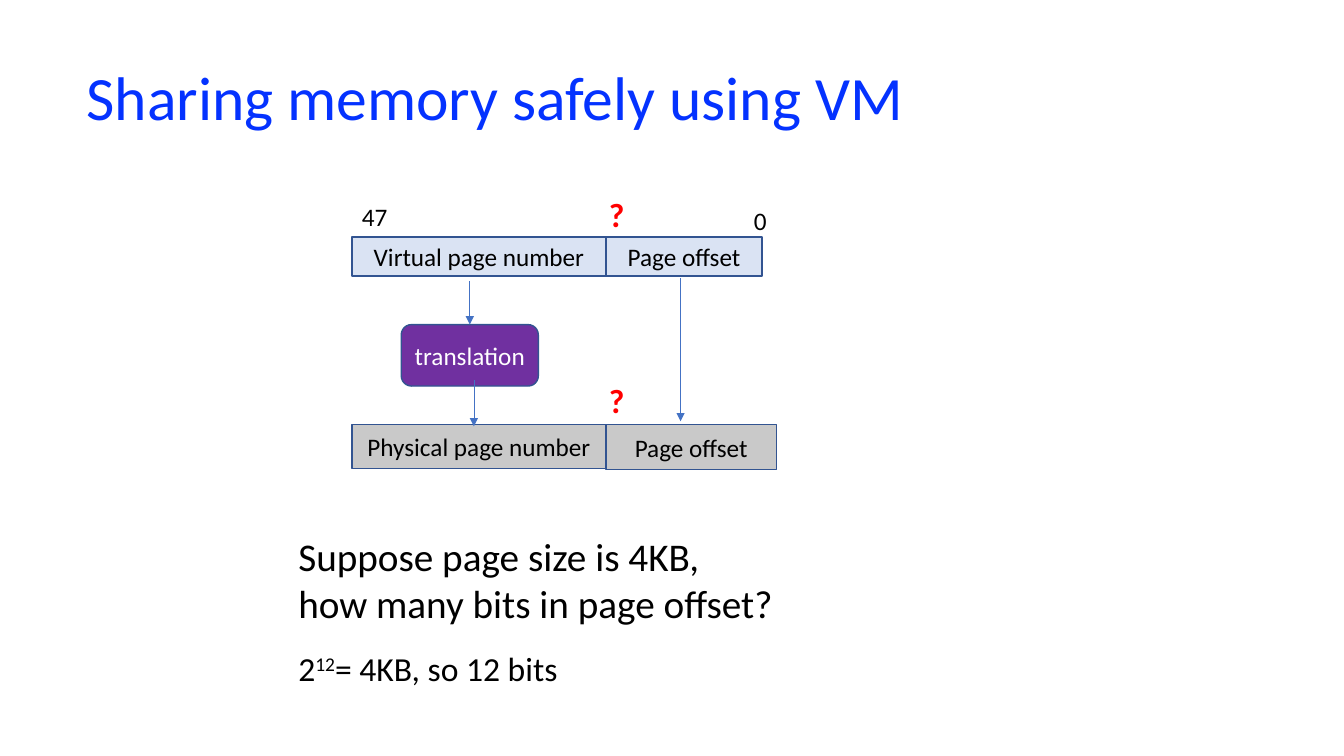
from lxml import etree
from pptx import Presentation
from pptx.dml.color import RGBColor
from pptx.enum.shapes import MSO_CONNECTOR, MSO_SHAPE
from pptx.enum.text import MSO_ANCHOR, PP_ALIGN
from pptx.oxml.ns import qn
from pptx.util import Inches, Pt

RECT, ROUNDED = MSO_SHAPE.RECTANGLE, MSO_SHAPE.ROUNDED_RECTANGLE
STRAIGHT = MSO_CONNECTOR.STRAIGHT
MIDDLE, TOP = MSO_ANCHOR.MIDDLE, MSO_ANCHOR.TOP
CENTER = PP_ALIGN.CENTER

FONT = "Calibri"
COLORS = {"title": "0432FF", "text": "000000", "white": "FFFFFF", "mark": "FF0000",
          "virtual": "DAE3F3", "physical": "C9C9C9", "translation": "7030A0",
          "border": "325491", "arrow": "4472C4"}

# Diagram grid: left edge, page-number/offset split, and the two address rows
LEFT, SPLIT = 3.49, 6.01
VIRTUAL_Y, PHYSICAL_Y = 2.35, 4.21
NUMBER_W = SPLIT - LEFT
TEXT_X = 2.86

# Content: name, text, shape, (left, top, width, height), fill, text colour
BOXES = [
    ("virtual number", "Virtual page number", RECT, (LEFT, VIRTUAL_Y, NUMBER_W, 0.39), "virtual", "text"),
    ("virtual offset", "Page offset", RECT, (SPLIT, VIRTUAL_Y, 1.55, 0.39), "virtual", "text"),
    ("physical number", "Physical page number", RECT, (LEFT, PHYSICAL_Y, NUMBER_W, 0.44), "physical", "text"),
    ("physical offset", "Page offset", RECT, (SPLIT, PHYSICAL_Y, 1.69, 0.45), "physical", "text"),
    ("translation", "translation", ROUNDED, (3.98, 3.22, 1.36, 0.61), "translation", "white"),
]
# x, top, bottom, box joined at its top middle
ARROWS = [(4.66, 2.79, 3.22, "translation"), (4.7, 3.77, 4.23, None), (6.75, 2.76, 4.18, None)]
# text, (left, top, width, height), size, colour, bold, wrap, anchor
TEXTS = [
    ("Sharing memory safely using VM", (0.76, 0.23, 11.5, 1.45), 44, "title", False, True, MIDDLE),
    ("47", (LEFT, 1.95, 0.46, 0.4), 18, "text", False, False, TOP),
    ("0", (7.38, 1.99, 0.33, 0.4), 18, "text", False, False, TOP),
    ("?", (5.94, VIRTUAL_Y - 0.48, 0.36, 0.5), 24, "mark", True, False, TOP),
    ("?", (5.94, PHYSICAL_Y - 0.49, 0.36, 0.5), 24, "mark", True, False, TOP),
    ("Suppose page size is 4KB,\nhow many bits in page offset?", (TEXT_X, 5.23, 7.68, 1.04),
     28, "text", False, True, TOP),
]
ANSWER = [("2", False), ("12", True), ("= 4KB, so 12 bits", False)]


def rgb(name):
    return RGBColor.from_string(COLORS[name])


def style(font, size, color, bold=False):
    font.name, font.size, font.bold = FONT, Pt(size), bold
    font.color.rgb = rgb(color)


def add_text(s, text, place, size, color, bold, wrap, anchor):
    tf = s.shapes.add_textbox(*map(Inches, place)).text_frame
    tf.text = text
    tf.word_wrap, tf.vertical_anchor = wrap, anchor
    for p in tf.paragraphs:
        for r in p.runs:
            style(r.font, size, color, bold)
    return tf


def add_box(s, text, kind, place, fill, color):
    sp = s.shapes.add_shape(kind, *map(Inches, place))
    sp.shadow.inherit = False
    sp.fill.solid()
    sp.fill.fore_color.rgb = rgb(fill)
    sp.line.color.rgb = rgb("border")
    sp.line.width = Pt(1)
    tf = sp.text_frame
    tf.text = text
    tf.vertical_anchor = MIDDLE
    p = tf.paragraphs[0]
    p.alignment = CENTER
    style(p.runs[0].font, 18, color)
    return sp


def add_arrow(s, x, top, bottom, target=None):
    line = s.shapes.add_connector(STRAIGHT, *map(Inches, (x, top, x, bottom)))
    if target is not None:
        line.end_connect(target, 0)
    line.line.color.rgb = rgb("arrow")
    line.line.width = Pt(0.5)
    etree.SubElement(line.line._get_or_add_ln(), qn("a:tailEnd"), type="triangle")
    etree.SubElement(line._element.spPr, qn("a:effectLst"))


def main():
    prs = Presentation()
    prs.slide_width, prs.slide_height = Inches(13.33), Inches(7.5)
    s = prs.slides.add_slide(prs.slide_layouts[6])

    # Address translation diagram
    boxes = {name: add_box(s, *box) for name, *box in BOXES}
    for x, top, bottom, target in ARROWS:
        add_arrow(s, x, top, bottom, boxes.get(target))

    # Title, bit labels and question
    for item in TEXTS:
        add_text(s, *item)

    # Answer with a superscript exponent
    tf = add_text(s, "", (TEXT_X, 6.38, 2.82, 0.5), 24, "text", False, False, TOP)
    for text, raised in ANSWER:
        r = tf.paragraphs[0].add_run()
        r.text = text
        style(r.font, 24, "text")
        if raised:
            r._r.get_or_add_rPr().set("baseline", "30000")

    prs.save("out.pptx")


if __name__ == "__main__":
    main()
